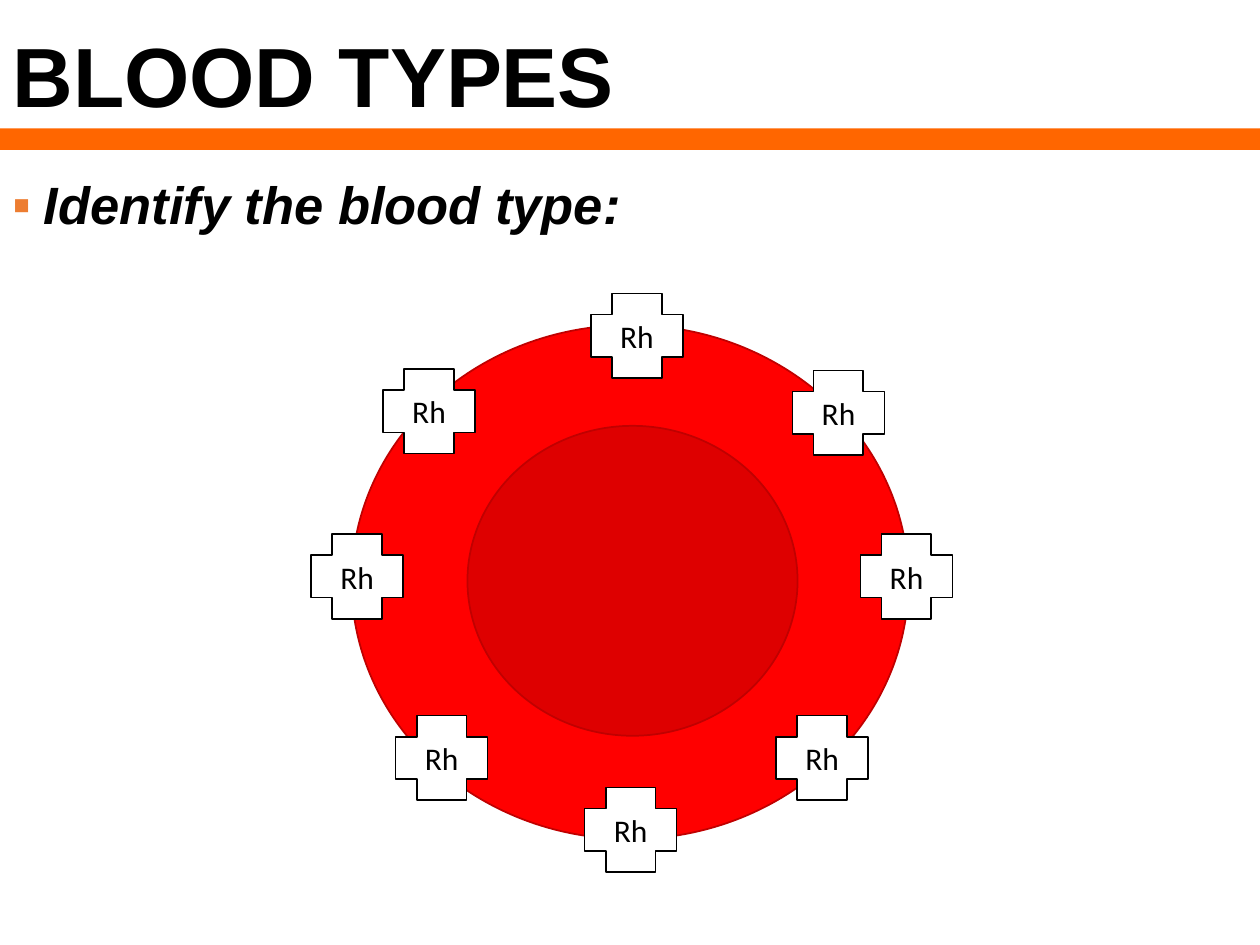
from typing import NamedTuple

from lxml import etree
from pptx import Presentation, util as u
from pptx.dml.color import RGBColor
from pptx.enum import shapes, text
from pptx.oxml.ns import qn

COLORS = {
    "orange": "FF6600", "bullet": "ED7D31", "cell": "FF0000",
    "dark red": "C00000", "white": "FFFFFF", "black": "000000",
}
# The grid has 100 columns and 75 rows, each a tenth of an inch
COLUMNS, ROWS = 100, 75
ANTIGEN_WIDTH, ANTIGEN_HEIGHT = 7.3, 6.7


class Box(NamedTuple):
    left: float
    top: float
    width: float
    height: float


class Part(NamedTuple):
    kind: shapes.MSO_SHAPE
    box: Box
    fill: str
    line: str = ""
    opacity: int = 100
    label: str = ""


def color(name: str) -> RGBColor:
    return RGBColor.from_string(COLORS[name])


def place(box: Box) -> list[int]:
    column = presentation.slide_width / COLUMNS
    row = presentation.slide_height / ROWS
    return [round(length * unit) for length, unit in zip(box, (column, row) * 2)]


def style(paragraph, font_name: str, size: float, bold=False, italic=False) -> None:
    font = paragraph.font
    font.name, font.size = font_name, u.Pt(size)
    font.bold, font.italic = bold, italic
    font.color.rgb = color("black")


def draw_part(target, part: Part) -> None:
    shape = target.add_shape(part.kind, *place(part.box))
    shape.shadow.inherit = False
    shape.fill.solid()
    shape.fill.fore_color.rgb = color(part.fill)
    if part.opacity < 100:
        fill_color = shape._element.spPr.find(".//" + qn("a:srgbClr"))
        etree.SubElement(fill_color, qn("a:alpha"), val=str(part.opacity * 1000))
    if part.line:
        shape.line.color.rgb = color(part.line)
        shape.line.width = u.Pt(1)
    else:
        shape.line.fill.background()
    if part.label:
        frame = shape.text_frame
        frame.text = part.label
        frame.word_wrap = False
        frame.vertical_anchor = text.MSO_ANCHOR.MIDDLE
        frame.paragraphs[0].alignment = text.PP_ALIGN.CENTER
        style(frame.paragraphs[0], "Calibri", 18)


def add_bullet(paragraph, symbol: str, indent: float) -> None:
    properties = paragraph._p.get_or_add_pPr()
    properties.set("marL", str(u.Inches(indent)))
    properties.set("indent", str(-u.Inches(indent)))
    bullet_color = etree.SubElement(properties, qn("a:buClr"))
    etree.SubElement(bullet_color, qn("a:srgbClr"), val=COLORS["bullet"])
    etree.SubElement(properties, qn("a:buFont"), typeface="Arial")
    etree.SubElement(properties, qn("a:buChar"), char=symbol)


presentation = Presentation()
presentation.slide_width, presentation.slide_height = u.Inches(10), u.Inches(7.5)
slide = presentation.slides.add_slide(presentation.slide_layouts[5])

# Title and the band below it
title = slide.shapes.title
title.left, title.top, title.width, title.height = place(Box(0, 2.5, 90, 7.7))
title.text_frame.text = "BLOOD TYPES"
title.text_frame.vertical_anchor = text.MSO_ANCHOR.MIDDLE
heading = title.text_frame.paragraphs[0]
heading.alignment = text.PP_ALIGN.LEFT
heading.line_spacing = 0.9
style(heading, "Arial", 48, bold=True)
draw_part(slide.shapes, Part(shapes.MSO_SHAPE.RECTANGLE, Box(0, 10.2, COLUMNS, 1.7), "orange"))

# Red blood cell with its hollow centre
cell = slide.shapes.add_group_shape()
OVAL = shapes.MSO_SHAPE.OVAL
draw_part(cell.shapes, Part(OVAL, Box(27.9, 25.8, 44.2, 40.8), "cell", "dark red"))
draw_part(cell.shapes, Part(OVAL, Box(37.1, 33.8, 26.2, 24.6), "dark red", "dark red", 52))

# Rh antigens around the cell's edge, as column and row of each corner
ANTIGENS = [
    (46.9, 23.3), (24.7, 42.4), (30.4, 29.3), (62.9, 29.4),
    (46.4, 62.5), (68.3, 42.4), (61.6, 56.8), (31.4, 56.8),
]
for left, top in ANTIGENS:
    box = Box(left, top, ANTIGEN_WIDTH, ANTIGEN_HEIGHT)
    draw_part(cell.shapes, Part(shapes.MSO_SHAPE.CROSS, box, "white", "black", label="Rh"))

# Question
question = slide.shapes.add_textbox(*place(Box(0, 12.5, COLUMNS, 10.8))).text_frame
question.word_wrap = True
question.text = "Identify the blood type:"
prompt = question.paragraphs[0]
prompt.line_spacing = 1.14
add_bullet(prompt, "▪", 0.25)
style(prompt, "Arial", 30, bold=True, italic=True)

presentation.save("out.pptx")
